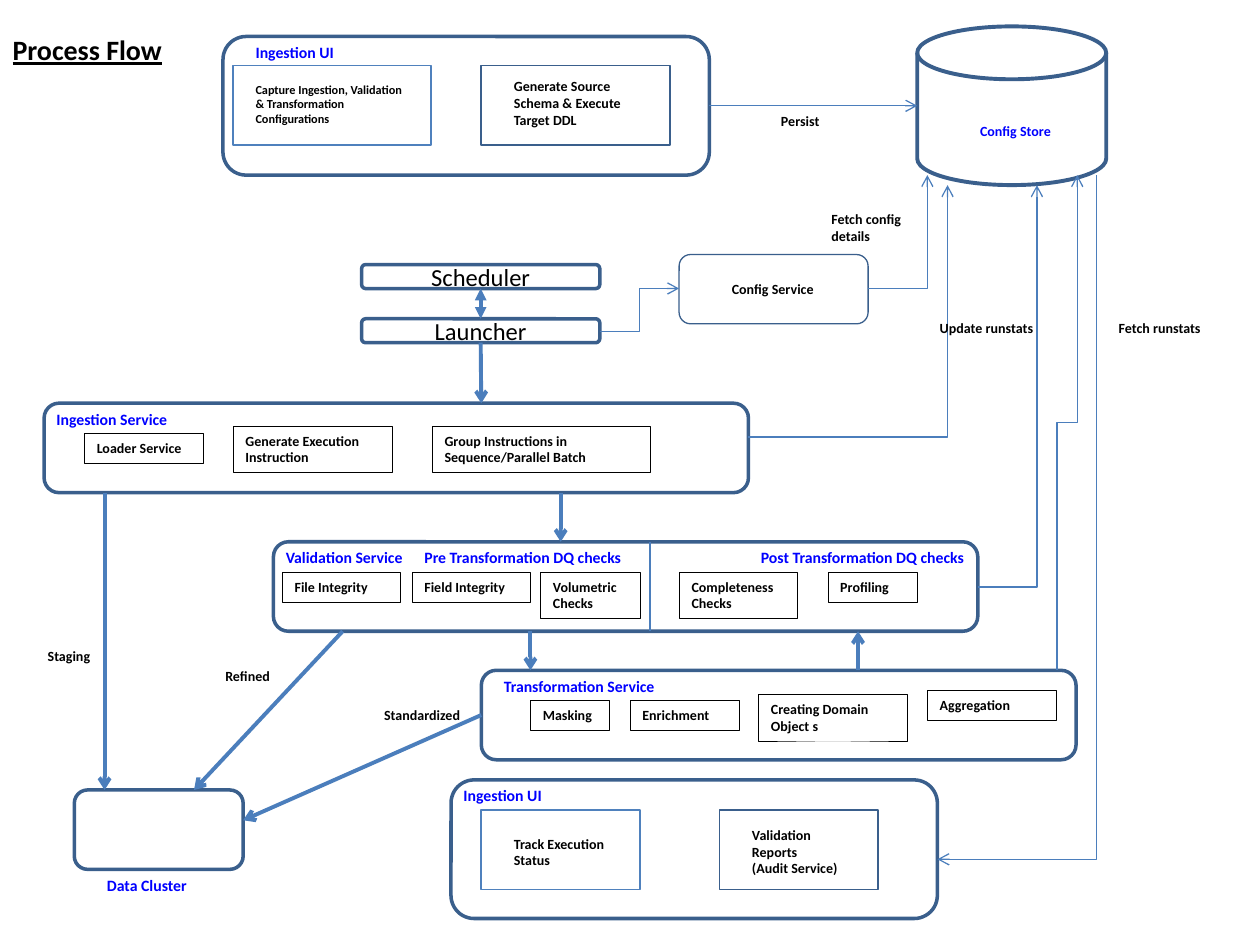
import dataclasses
import typing

import pptx
import pptx.dml.color
import pptx.enum.shapes
import pptx.enum.text
import pptx.oxml
import pptx.oxml.ns
import pptx.util

SCALE = 9144
Kind = pptx.enum.shapes.MSO_SHAPE
Link = pptx.enum.shapes.MSO_CONNECTOR
Anchor = pptx.enum.text.MSO_ANCHOR
Align = pptx.enum.text.PP_ALIGN
Fit = pptx.enum.text.MSO_AUTO_SIZE
Color = pptx.dml.color.RGBColor


@dataclasses.dataclass(frozen=True)
class Theme:
    font: str = "Calibri"
    ink: str = "000000"
    head: str = "0000FF"
    edge: str = "3A5F8C"
    soft: str = "4F81BD"
    wire: str = "4B7EBC"
    title: int = 16
    step: int = 14
    label: int = 9
    note: int = 8
    small: int = 7
    thick: float = 2.25
    bold: float = 2
    plain: float = 1
    thin: float = 0.75
    hair: float = 0.25


T = Theme()


class Frame(typing.NamedTuple):
    x: int
    y: int
    w: int
    h: int
    kind: Kind = Kind.ROUNDED_RECTANGLE
    edge: str = T.edge
    width: float = T.bold
    text: str = ""


class Label(typing.NamedTuple):
    x: int
    y: int
    w: int
    h: int
    text: str
    size: int = T.note
    ink: str = T.ink


class Tag(typing.NamedTuple):
    x: int
    y: int
    w: int
    h: int
    text: str


class Wire(typing.NamedTuple):
    x1: int
    y1: int
    x2: int
    y2: int
    width: float = T.thick
    tail: str = "arrow"
    head: str = ""
    start: tuple = ()
    end: tuple = ()


class Bend(typing.NamedTuple):
    x1: int
    y1: int
    x2: int
    y2: int
    preset: str = "bentConnector2"
    turned: bool = False


FRAMES = {
    "scheduler": Frame(287, 210, 189, 19, text="Scheduler"),
    "launcher": Frame(287, 253, 189, 19, text="Launcher"),
    "setup": Frame(177, 29, 386, 110),
    "capture": Frame(185, 52, 157, 63, Kind.RECTANGLE, T.soft, T.plain),
    "schema": Frame(382, 52, 150, 63, Kind.RECTANGLE, T.edge, T.plain),
    "store": Frame(728, 21, 150, 126, Kind.FLOWCHART_MAGNETIC_DISK, T.edge, T.thick),
    "config": Frame(539, 202, 150, 55, width=T.thin),
    "ingest": Frame(35, 320, 559, 71),
    "check": Frame(217, 430, 559, 71),
    "report": Frame(358, 619, 386, 110),
    "track": Frame(382, 643, 126, 63, Kind.RECTANGLE, T.soft, T.plain),
    "audit": Frame(571, 643, 126, 63, Kind.RECTANGLE, T.edge, T.plain),
    "cluster": Frame(59, 627, 134, 63),
    "transform": Frame(382, 532, 472, 71),
}

HEADS = [
    (193, 29, 102, "Ingestion UI"),
    (35, 320, 126, "Ingestion Service"),
    (217, 430, 126, "Validation Service"),
    (327, 430, 181, "Pre Transformation DQ checks"),
    (594, 430, 205, "Post Transformation DQ checks"),
    (390, 532, 142, "Transformation Service"),
    (358, 619, 102, "Ingestion UI"),
    (75, 690, 102, "Data Cluster"),
]

LABELS = [Label(x, y, w, 25, text, T.label, T.head) for x, y, w, text in HEADS] + [
    Label(193, 60, 142, 45,
          "Capture Ingestion, Validation & Transformation\nConfigurations", T.small),
    Label(398, 57, 118, 50, "Generate Source Schema & Execute Target DDL"),
    Label(768, 92, 94, 24, "Config Store", T.note, T.head),
    Label(571, 218, 94, 24, "Config Service"),
    Label(398, 658, 94, 37, "Track Execution Status"),
    Label(587, 651, 94, 50, "Validation Reports\n(Audit Service)"),
    Label(650, 162, 94, 37, "Fetch config details"),
    Label(736, 249, 96, 24, "Update runstats"),
    Label(878, 249, 94, 24, "Fetch runstats"),
    Label(28, 509, 94, 24, "Staging"),
    Label(169, 525, 94, 24, "Refined"),
    Label(295, 556, 94, 24, "Standardized"),
    Label(610, 84, 94, 24, "Persist"),
]

TAGS = [
    Tag(67, 344, 94, 24, "Loader Service"),
    Tag(185, 338, 126, 37, "Generate Execution Instruction"),
    Tag(343, 338, 173, 37, "Group Instructions in Sequence/Parallel Batch"),
    Tag(224, 454, 94, 24, "File Integrity"),
    Tag(327, 454, 94, 24, "Field Integrity"),
    Tag(429, 454, 79, 37, "Volumetric Checks"),
    Tag(539, 454, 94, 37, "Completeness Checks"),
    Tag(657, 454, 71, 24, "Profiling"),
    Tag(421, 556, 63, 24, "Masking"),
    Tag(500, 556, 87, 24, "Enrichment"),
    Tag(602, 551, 118, 37, "Creating Domain Object s"),
    Tag(736, 548, 102, 24, "Aggregation"),
]

WIRES = [
    Wire(382, 229, 382, 253, tail="triangle", head="triangle",
         start=("scheduler", 2), end=("launcher", 0)),
    Wire(563, 84, 728, 84, T.thin, start=("setup", 3)),
    Wire(382, 272, 382, 320, start=("launcher", 2)),
    Wire(83, 391, 83, 627),
    Wire(272, 501, 154, 627),
    Wire(382, 568, 193, 651, start=("transform", 1)),
    Wire(445, 391, 445, 430),
    Wire(421, 501, 421, 532),
    Wire(681, 532, 681, 501),
    Wire(516, 430, 516, 501, T.thin, tail=""),
]

BENDS = [
    Bend(594, 347, 752, 147),
    Bend(476, 263, 539, 229, "bentConnector3"),
    Bend(689, 229, 736, 139),
    Bend(776, 466, 823, 147),
    Bend(839, 532, 855, 139, "bentConnector3", True),
    Bend(870, 139, 744, 682, turned=True),
]


def px(*sizes: float) -> list[int]:
    return [round(size * SCALE) for size in sizes]


def apply(item: typing.Any, values: dict) -> None:
    for name, value in values.items():
        setattr(item, name, value)


def write(shape: typing.Any, text: str, size: int, ink: str = T.ink,
          align: Align = Align.LEFT, anchor: Anchor = Anchor.TOP,
          fit: Fit = Fit.SHAPE_TO_FIT_TEXT, **style: bool) -> None:
    frame = shape.text_frame
    apply(frame, {"text": text, "word_wrap": True, "auto_size": fit,
                  "vertical_anchor": anchor})
    for para in frame.paragraphs:
        para.alignment = align
        for run in para.runs:
            apply(run.font, {"name": T.font, "size": pptx.util.Pt(size), **style})
            run.font.color.rgb = Color.from_string(ink)


def stroke(line: typing.Any, ink: str, width: float) -> None:
    line.color.rgb = Color.from_string(ink)
    line.width = pptx.util.Pt(width)


def draw_frame(slide: typing.Any, item: Frame) -> typing.Any:
    shape = slide.shapes.add_shape(item.kind, *px(*item[:4]))
    shape.shadow.inherit = False
    shape.fill.background()
    stroke(shape.line, item.edge, item.width)
    if item.text:
        write(shape, item.text, T.step, align=Align.CENTER,
              anchor=Anchor.MIDDLE, fit=Fit.NONE)
    return shape


def draw_label(slide: typing.Any, item: Label) -> None:
    box = slide.shapes.add_textbox(*px(*item[:4]))
    write(box, item.text, item.size, item.ink, bold=True)


def draw_tag(slide: typing.Any, item: Tag) -> None:
    shape = draw_frame(slide, Frame(*item[:4], Kind.RECTANGLE, T.ink, T.hair))
    write(shape, item.text, T.note, bold=True)


def finish(link: typing.Any, width: float, head: str, tail: str) -> None:
    stroke(link.line, T.wire, width)
    qn = pptx.oxml.ns.qn
    props = link._element.spPr
    for name, value in (("a:headEnd", head), ("a:tailEnd", tail)):
        if value:
            props.find(qn("a:ln")).append(
                props.makeelement(qn(name), {"type": value}))
    props.append(props.makeelement(qn("a:effectLst"), {}))


def draw_wire(slide: typing.Any, item: Wire, shapes: dict) -> None:
    link = slide.shapes.add_connector(Link.STRAIGHT, *px(*item[:4]))
    for join, site in ((link.begin_connect, item.start), (link.end_connect, item.end)):
        if site:
            join(shapes[site[0]], site[1])
    finish(link, item.width, item.head, item.tail)


def draw_bend(slide: typing.Any, item: Bend) -> None:
    x1, y1, x2, y2 = item[:4]
    if item.turned:
        mx, my, dx, dy = (x1 + x2) / 2, (y1 + y2) / 2, (x2 - x1) / 2, (y2 - y1) / 2
        x1, y1, x2, y2 = mx - dy, my + dx, mx + dy, my - dx
    link = slide.shapes.add_connector(Link.ELBOW, *px(x1, y1, x2, y2))
    props = link._element.spPr
    props.find(pptx.oxml.ns.qn("a:prstGeom")).set("prst", item.preset)
    if item.turned:
        props.find(pptx.oxml.ns.qn("a:xfrm")).set("rot", "5400000")
    finish(link, T.thin, "", "arrow")


def main() -> None:
    deck = pptx.Presentation()
    apply(deck, dict(zip(("slide_width", "slide_height"), px(1000, 750))))
    slide = deck.slides.add_slide(deck.slide_layouts[5])
    title = slide.shapes.title
    apply(title, dict(zip(("left", "top", "width", "height"), px(0, 21, 283, 37))))
    write(title, "Process Flow", T.title, bold=True, underline=True)
    shapes = {name: draw_frame(slide, item) for name, item in FRAMES.items()}
    for wire in WIRES:
        draw_wire(slide, wire, shapes)
    for bend in BENDS:
        draw_bend(slide, bend)
    for tag in TAGS:
        draw_tag(slide, tag)
    for label in LABELS:
        draw_label(slide, label)
    deck.save("out.pptx")


if __name__ == "__main__":
    main()
